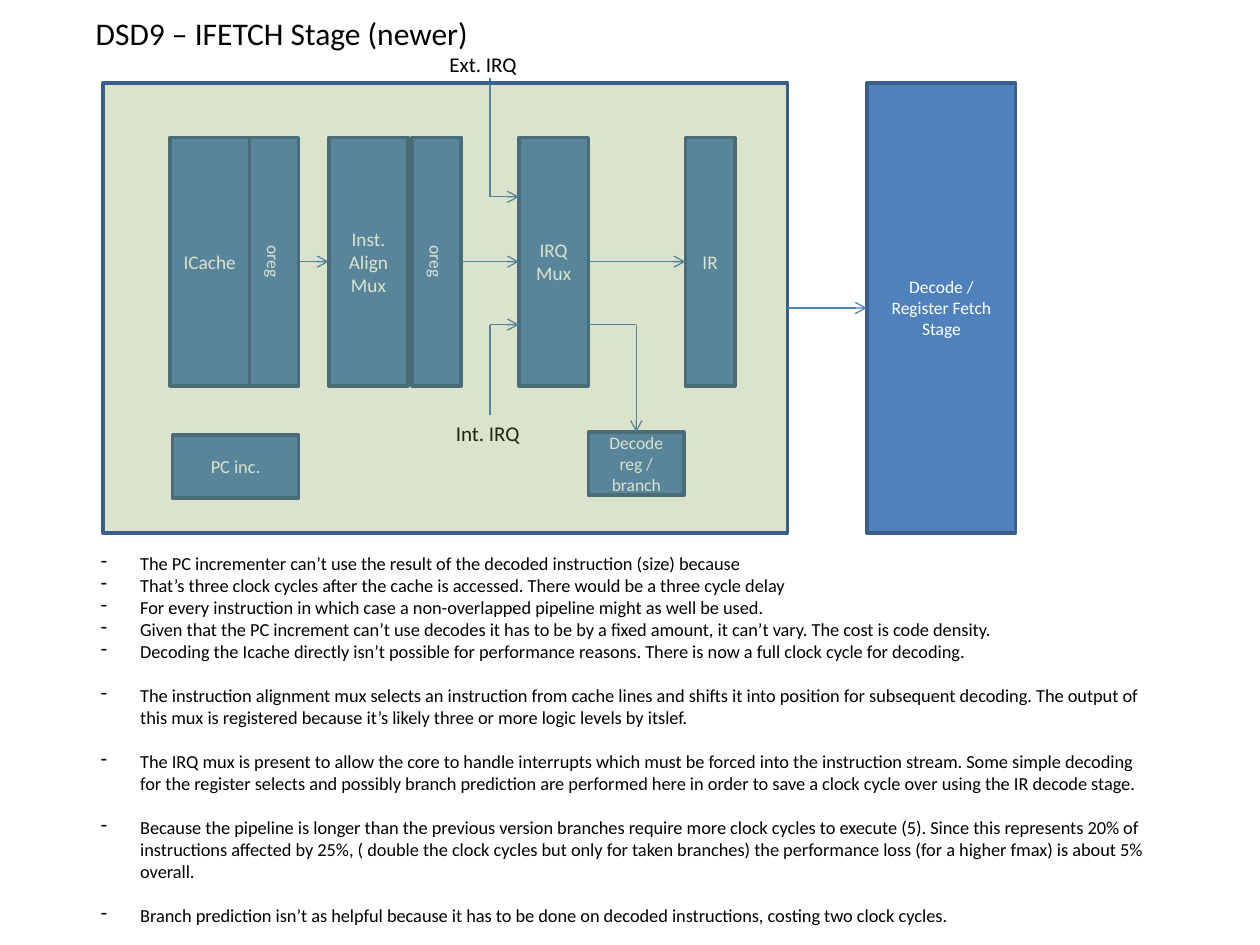
import pptx
import pptx.dml.color
import pptx.enum.shapes
import pptx.enum.text
import pptx.oxml.ns
import pptx.util
from lxml import etree

Pt = pptx.util.Pt
qn = pptx.oxml.ns.qn
ALIGN = pptx.enum.text.PP_ALIGN
ANCHOR = pptx.enum.text.MSO_ANCHOR
LEFT, BOTTOM, RIGHT, TOP = 1, 2, 3, 0
BLUE, EDGE, WIRE, GREEN = "4F81BD", "3A5F8C", "4B7EBC", "77933C"
NOTE_GROUPS = [
    [
        "The PC incrementer can’t use the result of the decoded instruction (size) because",
        "That’s three clock cycles after the cache is accessed. There would be a three cycle delay",
        "For every instruction in which case a non-overlapped pipeline might as well be used.",
        "Given that the PC increment can’t use decodes it has to be by a fixed amount, it can’t vary. "
        "The cost is code density.",
        "Decoding the Icache directly isn’t possible for performance reasons. "
        "There is now a full clock cycle for decoding.",
    ],
    ["The instruction alignment mux selects an instruction from cache lines and shifts it into position for "
     "subsequent decoding. The output of this mux is registered because it’s likely three or more logic levels "
     "by itslef."],
    ["The IRQ mux is present to allow the core to handle interrupts which must be forced into the instruction "
     "stream. Some simple decoding for the register selects and possibly branch prediction are performed here "
     "in order to save a clock cycle over using the IR decode stage."],
    ["Because the pipeline is longer than the previous version branches require more clock cycles to execute "
     "(5). Since this represents 20% of instructions affected by 25%, ( double the clock cycles but only for "
     "taken branches) the performance loss (for a higher fmax) is about 5% overall."],
    ["Branch prediction isn’t as helpful because it has to be done on decoded instructions, "
     "costing two clock cycles."],
]


def color(value):
    """Return the colour for a hex string."""
    return pptx.dml.color.RGBColor.from_string(value)


def format_paragraph(paragraph, size, value, alignment):
    """Set the font and alignment of a paragraph and its runs."""
    paragraph.alignment = alignment
    for run in paragraph.runs:
        run.font.name = "Calibri"
        run.font.size = Pt(size)
        run.font.color.rgb = color(value)


def place(shape, left, top, width, height):
    """Move and size a shape, in points."""
    shape.left, shape.top, shape.width, shape.height = map(Pt, (left, top, width, height))


def add_block(slide, box, text="", size=11, fill=BLUE, vertical=False):
    """Add an outlined rectangle with centred text."""
    shape = slide.shapes.add_shape(pptx.enum.shapes.MSO_SHAPE.RECTANGLE, *map(Pt, box))
    shape.shadow.inherit = False
    shape.fill.solid()
    shape.fill.fore_color.rgb = color(fill)
    shape.line.color.rgb = color(EDGE)
    shape.line.width = Pt(2)
    frame = shape.text_frame
    frame.word_wrap = True
    frame.vertical_anchor = ANCHOR.MIDDLE
    frame.text = text
    format_paragraph(frame.paragraphs[0], size, "FFFFFF", ALIGN.CENTER)
    if vertical:
        frame._txBody.bodyPr.set("vert", "vert")
    return shape


def add_label(slide, left, top, width, text):
    """Add a one-line label."""
    frame = slide.shapes.add_textbox(Pt(left), Pt(top), Pt(width), Pt(21.6)).text_frame
    frame.word_wrap = False
    frame.text = text
    format_paragraph(frame.paragraphs[0], 12, "000000", ALIGN.LEFT)


def add_wire(slide, start=(0, 0), end=(0, 0), source=None, target=None, arrow=True):
    """Add a straight wire between points or (shape, side) joints."""
    connector = slide.shapes.add_connector(
        pptx.enum.shapes.MSO_CONNECTOR.STRAIGHT, *map(Pt, (*start, *end)))
    if source:
        connector.begin_connect(*source)
    if target:
        connector.end_connect(*target)
    connector.line.color.rgb = color(WIRE)
    connector.line.width = Pt(0.75)
    if arrow:
        etree.SubElement(connector.line._get_or_add_ln(), qn("a:tailEnd"), type="arrow")
    etree.SubElement(connector._element.spPr, qn("a:effectLst"))


def add_fetch_stage(slide, left, top, width, height):
    """Draw the fetch pipeline under its translucent panel and return the panel."""
    row_top, row_height = top + 31, 142
    upper, lower = row_top + 34, row_top + 107

    def column(offset, block_width, text, size=11, vertical=False):
        """Add one full-height pipeline block."""
        return add_block(slide, (left + offset, row_top, block_width, row_height), text, size, vertical=vertical)

    column(38.2, 45.3, "ICache")
    cache_register = column(83.5, 28.2, "oreg", 10, True)
    add_block(slide, (left + 39.6, top + 201, 72, 36), "PC inc.", 10.5)
    align_mux = column(128.9, 45.3, "Inst. Align\vMux")
    align_register = column(176.4, 28.2, "oreg", 10, True)
    irq_mux = column(237.6, 39.6, "IRQ Mux")
    instruction_register = column(332.7, 28.2, "IR")
    decode_left, decode_width = left + 277.2, 54.8
    decode = add_block(slide, (decode_left, top + 199.5, decode_width, 36), "Decode reg / branch", 10)

    for source, target in ((cache_register, align_mux), (align_register, irq_mux),
                           (irq_mux, instruction_register)):
        add_wire(slide, source=(source, RIGHT), target=(target, LEFT))

    irq_left, mux_left, mux_right = left + 221, left + 237.6, left + 277.2
    for level, outer in ((upper, top - 3), (lower, top + 189.4)):
        add_wire(slide, (irq_left, level), (irq_left, outer), arrow=False)
        add_wire(slide, (irq_left, level), (mux_left, level))
    add_label(slide, left + 190.8, top - 21.6, 53.3, "Ext. IRQ")
    add_label(slide, left + 194.4, top + 189.4, 51.1, "Int. IRQ")

    branch = (decode_left + decode_width / 2, lower)
    add_wire(slide, (mux_right, lower), branch, arrow=False)
    add_wire(slide, branch, target=(decode, TOP))

    panel = add_block(slide, (left, top, width, height), fill=GREEN)
    fill_color = panel._element.spPr.find(qn("a:solidFill"))[0]
    etree.SubElement(fill_color, qn("a:alpha"), val="26000")
    return panel


def add_decode_stage(slide, box, previous):
    """Draw the next stage and its wire from the previous one."""
    stage = add_block(slide, box, "Decode / Register Fetch Stage", 10)
    add_wire(slide, source=(previous, RIGHT), target=(stage, LEFT))


def fill_title(title, box):
    """Place and format the slide title."""
    place(title, *box)
    frame = title.text_frame
    frame.text = "DSD9 – IFETCH Stage (newer)"
    frame.word_wrap = False
    frame.auto_size = pptx.enum.text.MSO_AUTO_SIZE.NONE
    frame.vertical_anchor = ANCHOR.TOP
    format_paragraph(frame.paragraphs[0], 18, "000000", ALIGN.LEFT)


def fill_notes(body, box):
    """Place the dashed list, with one line of space between groups."""
    place(body, *box)
    frame = body.text_frame
    frame.word_wrap = True
    frame.auto_size = pptx.enum.text.MSO_AUTO_SIZE.NONE
    frame.vertical_anchor = ANCHOR.TOP
    frame.text = "\n".join(note for group in NOTE_GROUPS for note in group)
    spaces = [12.6 if group_index and not note_index else 0
              for group_index, group in enumerate(NOTE_GROUPS) for note_index in range(len(group))]
    for paragraph, space in zip(frame.paragraphs, spaces):
        properties = paragraph._p.get_or_add_pPr()
        properties.set("marL", str(Pt(22.5)))
        properties.set("indent", str(-Pt(22.5)))
        etree.SubElement(properties, qn("a:buFontTx"))
        etree.SubElement(properties, qn("a:buChar"), char="-")
        paragraph.space_before = Pt(space)
        format_paragraph(paragraph, 10.5, "000000", ALIGN.LEFT)


def main():
    """Build and save the slide."""
    presentation = pptx.Presentation()
    presentation.slide_width, presentation.slide_height = Pt(720), Pt(540)
    slide = presentation.slides.add_slide(presentation.slide_layouts[1])
    fill_title(slide.shapes.title, (47.5, 4.3, 229.7, 28.8))
    fill_notes(slide.placeholders[1], (50.4, 311.8, 616.3, 224))
    panel = add_fetch_stage(slide, 59, 47.5, 391, 257)
    add_decode_stage(slide, (495.4, 47.5, 85, 257), panel)
    presentation.save("out.pptx")


if __name__ == "__main__":
    main()
